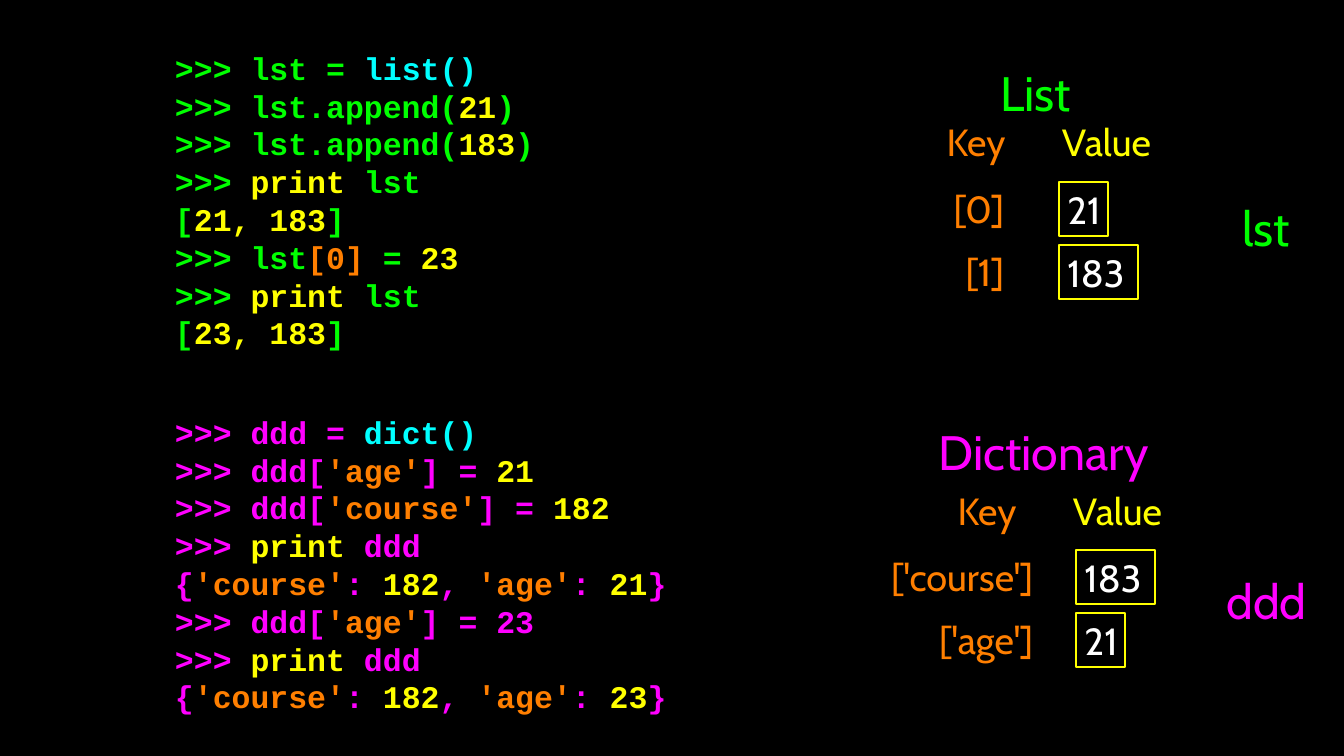
from pptx import Presentation
from pptx import util as u
from pptx.dml.color import RGBColor
from pptx.enum import shapes, text

SCALE = 12096
GREEN, MAGENTA, CYAN = "00FF00", "FF00FF", "00FFFF"
YELLOW, ORANGE, WHITE = "FFFF00", "FF7F00", "FFFFFF"
LEFT, CENTER, RIGHT = text.PP_ALIGN.LEFT, text.PP_ALIGN.CENTER, text.PP_ALIGN.RIGHT
MARKS = {"~": CYAN, "#": YELLOW, "@": ORANGE}
ROW_PITCH = 63

LIST_CODE = [
    ">>> lst = |~list()",
    ">>> lst.append(|#21|)",
    ">>> lst.append(|#183|)",
    ">>> |#print| lst",
    "[|#21, 183|]",
    ">>> lst|@[0]| = |#23",
    ">>> |#print| lst",
    "[|#23, 183|]",
]
DICT_CODE = [
    ">>> ddd = |~dict()",
    ">>> ddd[|@'age'|] = |#21",
    ">>> ddd[|@'course'|] = |#182",
    ">>> |#print| ddd",
    "{|@'course'|: |#182|, |@'age'|: |#21|}",
    ">>> ddd[|@'age'|] = 23",
    ">>> |#print| ddd",
    "{|@'course'|: |#182|, |@'age'|: |#23|}",
]


def px(*values):
    """Turn pixels into EMU."""
    return [u.Emu(value * SCALE) for value in values]


def rgb(color):
    """Turn a hex string into a colour."""
    return RGBColor.from_string(color)


def prepare_frame(shape):
    """Remove the insets, centre vertically and return the text frame."""
    frame = shape.text_frame
    settings = {"margin_left": 0, "margin_top": 0, "margin_right": 0, "margin_bottom": 0,
                "word_wrap": True, "vertical_anchor": text.MSO_ANCHOR.MIDDLE}
    for name, value in settings.items():
        setattr(frame, name, value)
    return frame


def add_run(paragraph, words, color, **font):
    """Add a run with its colour and font values."""
    run = paragraph.add_run()
    run.text = words
    run.font.color.rgb = rgb(color)
    for name, value in font.items():
        setattr(run.font, name, value)


def add_code(slide, box, lines, base):
    """Add a code block; a mark at the start of a piece picks its colour."""
    frame = prepare_frame(slide.shapes.add_textbox(*px(*box)))
    for index, line in enumerate(lines):
        paragraph = frame.add_paragraph() if index else frame.paragraphs[0]
        paragraph.line_spacing = u.Pt(36)
        for piece in line.split("|"):
            color = MARKS.get(piece[0], base)
            words = piece[1:] if piece[0] in MARKS else piece
            add_run(paragraph, words, color, name="Courier New", size=u.Pt(30), bold=True)


def write(shape, words, color, size, align):
    """Write one line of label text into a shape."""
    paragraph = prepare_frame(shape).paragraphs[0]
    paragraph.alignment = align
    add_run(paragraph, words, color, name="Cabin", size=u.Pt(size))


def add_label(slide, box, words, color, size=36, align=CENTER):
    """Add a text label."""
    write(slide.shapes.add_textbox(*px(*box)), words, color, size, align)


def add_value(slide, left, top, value):
    """Add an outlined value box as wide as its digits need."""
    width = 49 if len(value) == 2 else 79
    shape = slide.shapes.add_shape(shapes.MSO_SHAPE.RECTANGLE, *px(left, top, width, 54))
    shape.shadow.inherit = False
    shape.fill.background()
    shape.line.color.rgb = rgb(YELLOW)
    shape.line.width = u.Pt(2)
    write(shape, " " + value, WHITE, 36, LEFT)


def add_mapping(slide, title, title_box, name, name_box, color, head, rows):
    """Add a diagram of keys and values with its title and variable name."""
    key_left, head_top, key_right, value_left, rows_top = head
    add_label(slide, title_box, title, color, 46)
    add_label(slide, name_box, name, color, 46)
    add_label(slide, (key_left, head_top, 66, 51), "Key", ORANGE)
    add_label(slide, (key_left + 118, head_top, 91, 51), "Value", YELLOW)
    for index, (key, value, width) in enumerate(rows):
        top = rows_top + index * ROW_PITCH
        add_label(slide, (key_right - width, top + 1, width, 51), key, ORANGE, align=RIGHT)
        add_value(slide, value_left, top, value)


def main():
    """Build and save the slide."""
    presentation = Presentation()
    presentation.slide_width, presentation.slide_height = px(1344, 756)
    slide = presentation.slides.add_slide(presentation.slide_layouts[6])
    slide.background.fill.solid()
    slide.background.fill.fore_color.rgb = rgb("000000")

    add_code(slide, (175, 37, 470, 326), LIST_CODE, GREEN)
    add_code(slide, (175, 401, 514, 326), DICT_CODE, MAGENTA)
    add_mapping(slide, "List", (996, 60, 79, 64), "lst", (1239, 195, 54, 64), GREEN,
                (943, 116, 1004, 1059, 182),
                [("[0]", "21", 54), ("[1]", "183", 54)])
    add_mapping(slide, "Dictionary", (935, 419, 217, 64), "ddd", (1225, 568, 83, 64), MAGENTA,
                (954, 485, 1033, 1076, 550),
                [("['course']", "183", 153), ("['age']", "21", 99)])
    presentation.save("out.pptx")


main()
